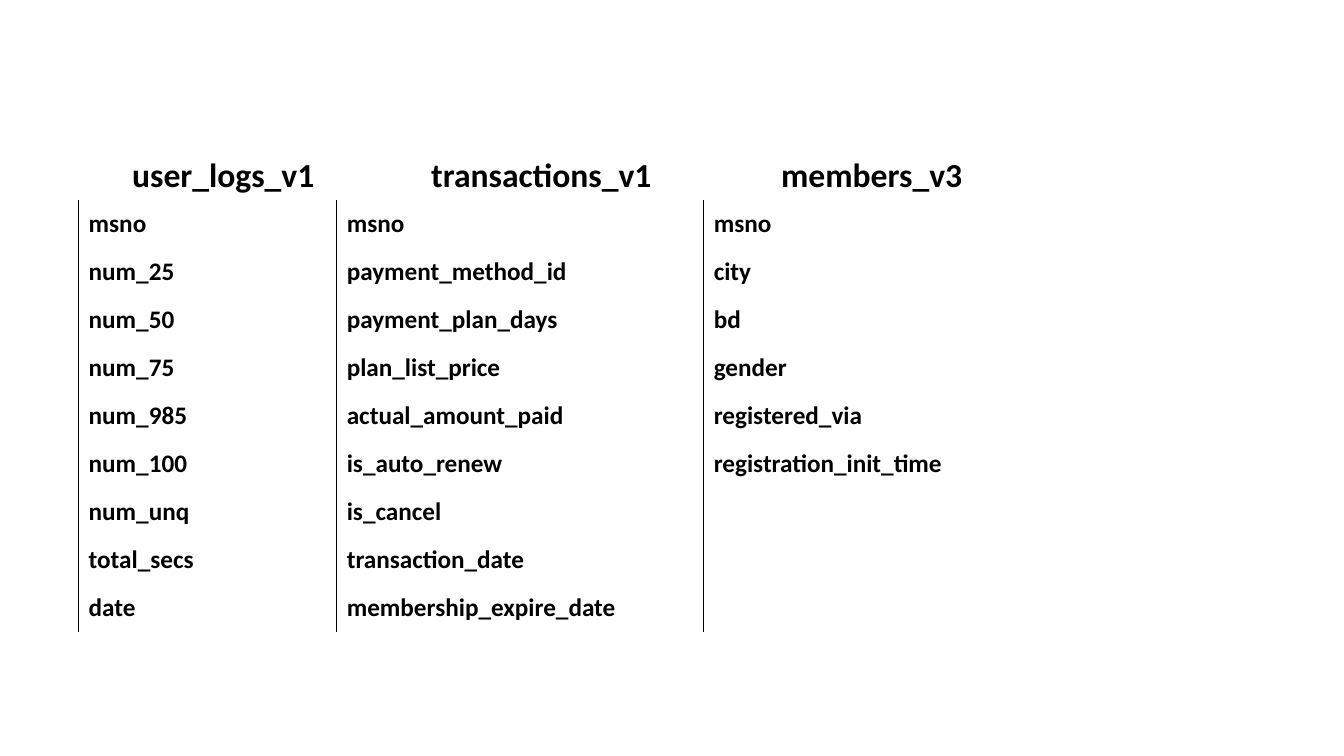
from lxml import etree
from pptx import Presentation
from pptx import util as u
from pptx.dml.color import RGBColor
from pptx.enum import text
from pptx.oxml import ns

HUES = {"ink": "000000"}
TABLES = [
    ("user_logs_v1", 1.07, 2.29, 2.56,
     ["msno", "num_25", "num_50", "num_75", "num_985", "num_100",
      "num_unq", "total_secs", "date"]),
    ("transactions_v1", 3.86, 3.02, 3.64,
     ["msno", "payment_method_id", "payment_plan_days", "plan_list_price",
      "actual_amount_paid", "is_auto_renew", "is_cancel",
      "transaction_date", "membership_expire_date"]),
    ("members_v3", 7.5, 2.29, 3.41,
     ["msno", "city", "bd", "gender", "registered_via",
      "registration_init_time"]),
]
ROWS = 9
HIGH = 4.29


def write(para, words, size):
    run = para.add_run()
    run.text = words
    run.font.name = "Calibri"
    run.font.size = u.Pt(size)
    run.font.bold = True
    run.font.color.rgb = RGBColor.from_string(HUES["ink"])


def edge(cell, side, shown):
    line = etree.SubElement(cell._tc.get_or_add_tcPr(), ns.qn("a:" + side))
    if shown:
        line.set("w", str(u.Pt(1)))
        fill = etree.SubElement(line, ns.qn("a:solidFill"))
        etree.SubElement(fill, ns.qn("a:srgbClr"), val=HUES["ink"])
    else:
        etree.SubElement(line, ns.qn("a:noFill"))


deck = Presentation()
deck.slide_width = u.Inches(13.33)
deck.slide_height = u.Inches(7.5)
slide = deck.slides.add_slide(deck.slide_layouts[6])

width = sum(item[3] for item in TABLES)
grid = slide.shapes.add_table(
    ROWS, len(TABLES), u.Inches(0.78), u.Inches(1.98),
    u.Inches(width), u.Inches(HIGH)).table
grid.first_row = False
grid.horz_banding = False
for row in grid.rows:
    row.height = u.Inches(HIGH / ROWS)

for col, (title, left, wide, span, fields) in enumerate(TABLES):
    grid.columns[col].width = u.Inches(span)
    for row in range(ROWS):
        cell = grid.cell(row, col)
        cell.vertical_anchor = text.MSO_ANCHOR.MIDDLE
        edge(cell, "lnL", True)
        edge(cell, "lnR", col < len(TABLES) - 1)
        edge(cell, "lnT", False)
        edge(cell, "lnB", False)
        cell.fill.background()
        if row < len(fields):
            write(cell.text_frame.paragraphs[0], fields[row], 18)

    box = slide.shapes.add_textbox(
        u.Inches(left), u.Inches(1.48), u.Inches(wide), u.Inches(0.5))
    frame = box.text_frame
    frame.word_wrap = True
    frame.auto_size = text.MSO_AUTO_SIZE.SHAPE_TO_FIT_TEXT
    para = frame.paragraphs[0]
    para.alignment = text.PP_ALIGN.CENTER
    write(para, title, 24)

deck.save("out.pptx")
